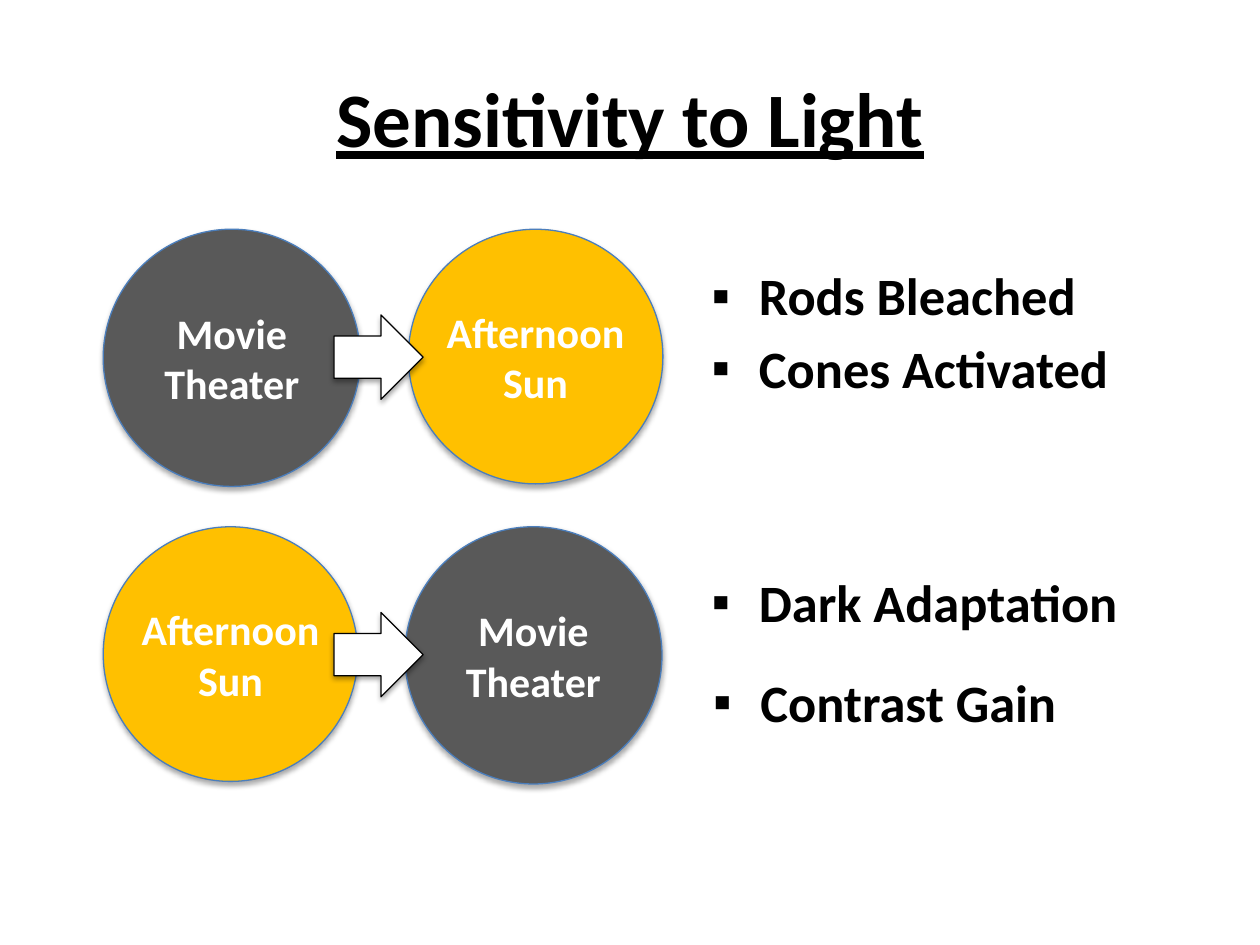
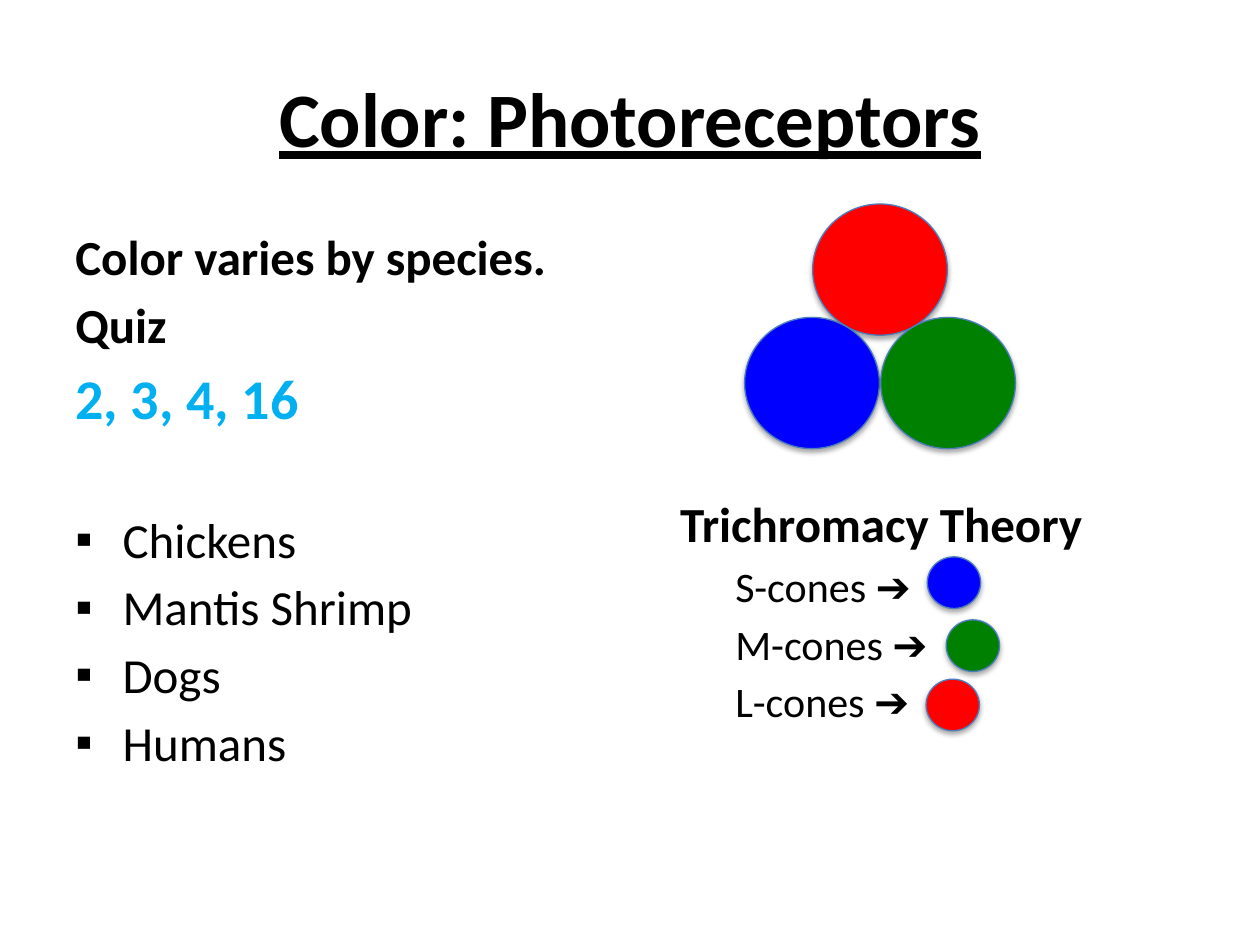
"""Build two slides on light sensitivity and colour photoreceptors."""
from lxml import etree
from pptx import Presentation
from pptx.dml import color as dml
from pptx.enum import shapes as kinds, text as txt
from pptx.oxml import ns
from pptx.util import Pt

COLORS = {
    "ink": "000000", "paper": "FFFFFF", "outline": "4B7EBC",
    "theater": "595959", "sun": "FFC000", "answer": "00B0F0",
    "red": "FF0000", "blue": "0000FF", "green": "008000",
}
FONT = "Calibri"
ARROW_FONT = "Arial"
BULLET_INDENT = 27
COLUMN_WIDTH = 318
SPACING = 0.18


def rgb(name):
    return dml.RGBColor.from_string(COLORS[name])


def add_run(paragraph, words, size, bold=False, color="ink", font=FONT):
    run = paragraph.add_run()
    run.text = words
    run.font.name, run.font.size, run.font.bold = font, Pt(size), bold
    run.font.color.rgb = rgb(color)
    return run


def add_title(deck, words):
    slide = deck.slides.add_slide(deck.slide_layouts[5])
    title = slide.shapes.title
    title.left, title.top, title.width, title.height = map(Pt, (36, 21.6, 648, 90))
    title.text_frame.vertical_anchor = txt.MSO_ANCHOR.MIDDLE
    heading = title.text_frame.paragraphs[0]
    heading.alignment = txt.PP_ALIGN.CENTER
    add_run(heading, words, 44, bold=True).font.underline = True
    return slide


def add_column(slide, left, top, height):
    column = slide.shapes.add_textbox(Pt(left), Pt(top), Pt(COLUMN_WIDTH), Pt(height))
    column.text_frame.word_wrap = True
    return column.text_frame


def add_line(frame, words, size, bold=False, color="ink", before=None, indent=0):
    paragraph = frame.paragraphs[0]
    if paragraph.runs:
        paragraph = frame.add_paragraph()
        paragraph.space_before = Pt(size * SPACING if before is None else before)
    if indent:
        paragraph._p.get_or_add_pPr().set("marL", str(Pt(indent)))
    add_run(paragraph, words, size, bold, color)
    return paragraph


def add_bullet(frame, words, size, bold=False, before=None):
    properties = add_line(frame, words, size, bold, before=before,
                          indent=BULLET_INDENT)._p.get_or_add_pPr()
    properties.set("indent", str(-Pt(BULLET_INDENT)))
    etree.SubElement(properties, ns.qn("a:buFont"), typeface=ARROW_FONT)
    etree.SubElement(properties, ns.qn("a:buChar"), char="▪")


def add_shadow(shape):
    shape.shadow.inherit = False
    effects = shape._element.spPr.find(ns.qn("a:effectLst"))
    shadow = etree.SubElement(effects, ns.qn("a:outerShdw"), blurRad=str(Pt(3.1)),
                              dist=str(Pt(1.8)), dir="5400000", rotWithShape="0")
    tint = etree.SubElement(shadow, ns.qn("a:srgbClr"), val=COLORS["ink"])
    etree.SubElement(tint, ns.qn("a:alpha"), val="35000")


def add_solid(shapes, kind, box, fill, line="outline"):
    solid = shapes.add_shape(kind, *map(Pt, box))
    solid.fill.solid()
    solid.fill.fore_color.rgb = rgb(fill)
    solid.line.color.rgb = rgb(line)
    solid.line.width = Pt(0.75)
    add_shadow(solid)
    return solid


def add_circle(shapes, box, fill):
    return add_solid(shapes, kinds.MSO_SHAPE.OVAL, box, fill)


def add_place(shapes, left, top, place):
    words, diameter = {"theater": ("Movie Theater", 147),
                       "sun": ("Afternoon Sun", 145.5)}[place]
    frame = add_circle(shapes, (left, top, diameter, diameter), place).text_frame
    frame.word_wrap = True
    frame.vertical_anchor = txt.MSO_ANCHOR.MIDDLE
    frame.margin_left = frame.margin_right = 0
    add_line(frame, words, 24, True, "paper").alignment = txt.PP_ALIGN.CENTER


def add_transition(slide, top, before, after, after_left):
    group = slide.shapes.add_group_shape().shapes
    add_place(group, 59, top, before)
    add_place(group, after_left, top, after)
    add_solid(group, kinds.MSO_SHAPE.RIGHT_ARROW, (190.8, top + 49, 51, 48.2),
              "paper", "ink")


def build_sensitivity(deck):
    slide = add_title(deck, "Sensitivity to Light")
    add_transition(slide, 131, "theater", "sun", 233.3)
    add_transition(slide, 301, "sun", "theater", 231.3)
    for left, top, height, effects in (
        (399.6, 147, 100, ("Rods Bleached", "Cones Activated")),
        (399.6, 322, 50, ("Dark Adaptation",)),
        (400.4, 379.5, 50, ("Contrast Gain",)),
    ):
        column = add_column(slide, left, top, height)
        for effect in effects:
            add_bullet(column, effect, 30, bold=True)


def build_photoreceptors(deck):
    slide = add_title(deck, "Color: Photoreceptors")

    quiz = add_column(slide, 36, 126, 356)
    add_line(quiz, "Color varies by species.", 28, True)
    add_line(quiz, "Quiz", 28, True)
    add_line(quiz, "2, 3, 4, 16", 32, True, "answer")
    for species, before in (("Chickens", 45), ("Mantis Shrimp", None),
                            ("Dogs", None), ("Humans", None)):
        add_bullet(quiz, species, 28, before=before)

    width, height = 77, 75
    left, step = 425.5, 77.8
    for color, column, top in (("red", 0.5, 116.6), ("blue", 0, 181.4),
                               ("green", 1, 181.4)):
        add_circle(slide.shapes, (left + column * step, top, width, height), color)

    theory = add_column(slide, 381.6, 278.6, 160)
    add_line(theory, "Trichromacy Theory", 28, True)
    swatches = slide.shapes.add_group_shape().shapes
    for cone, color, x, y in (("S", "blue", 529.9, 318.2),
                              ("M", "green", 540.7, 354.2),
                              ("L", "red", 529.2, 388.1)):
        add_run(add_line(theory, f"{cone}-cones ", 24, indent=31.5),
                "➔", 24, font=ARROW_FONT)
        add_circle(swatches, (x, y, 30.5, 29.5), color)


def main():
    deck = Presentation()
    deck.slide_width, deck.slide_height = Pt(720), Pt(540)
    build_sensitivity(deck)
    build_photoreceptors(deck)
    deck.save("out.pptx")


if __name__ == "__main__":
    main()
